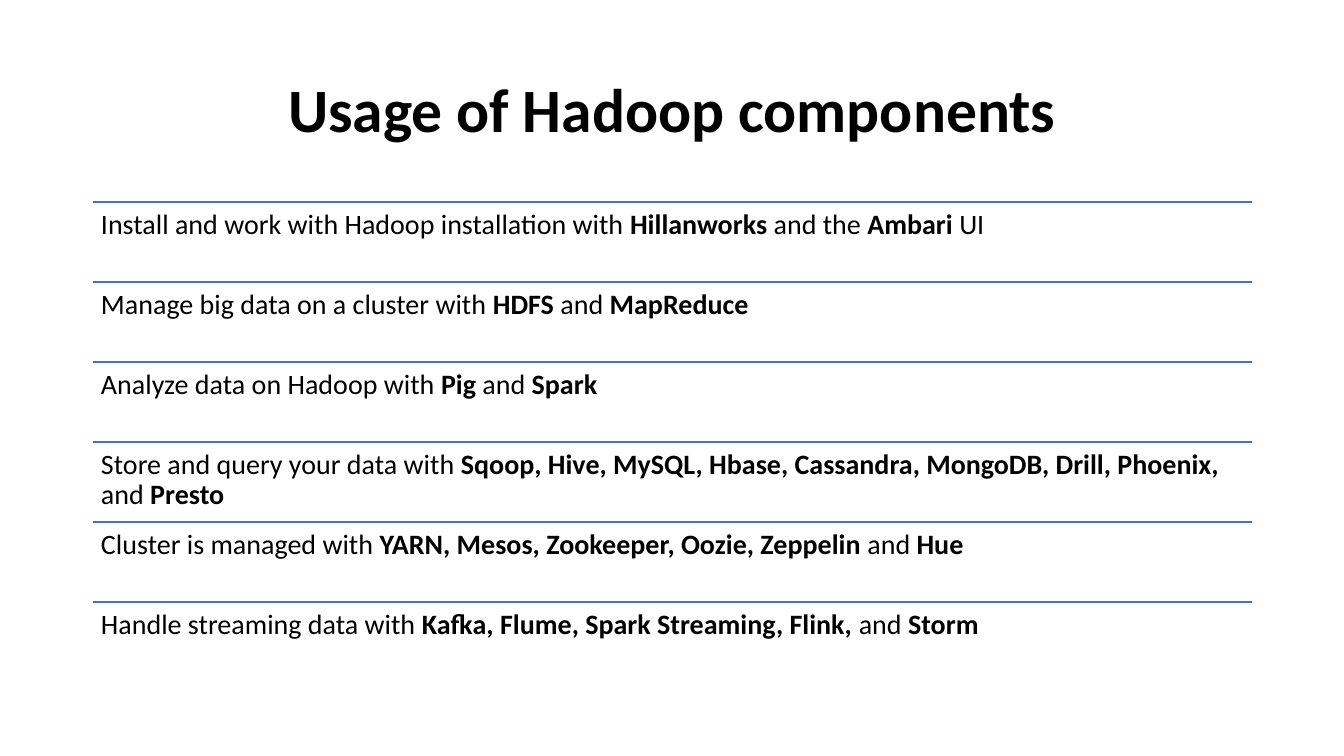
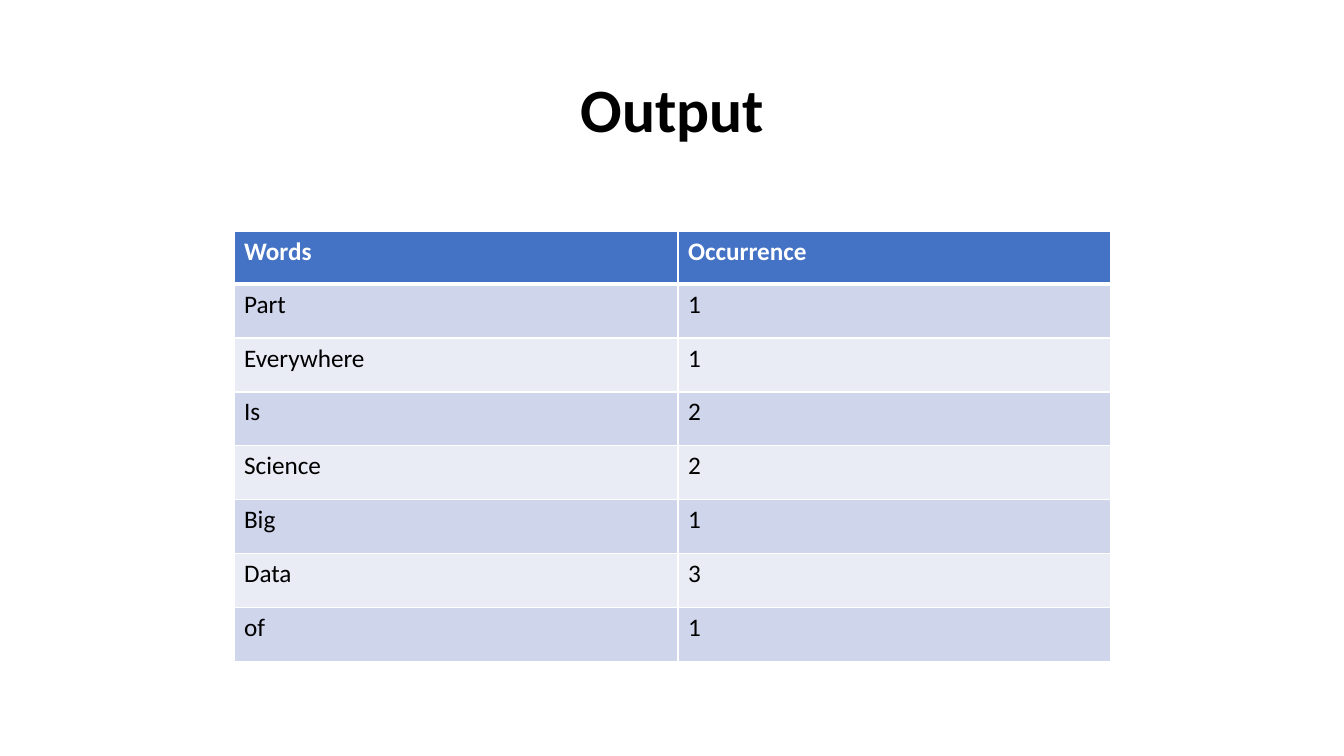
from lxml import etree
from pptx import Presentation
from pptx.dml.color import RGBColor
from pptx.enum.shapes import MSO_CONNECTOR
from pptx.enum.text import MSO_ANCHOR, PP_ALIGN
from pptx.oxml.ns import qn
from pptx.util import Emu, Pt

STRAIGHT = MSO_CONNECTOR.STRAIGHT
TOP, MIDDLE = MSO_ANCHOR.TOP, MSO_ANCHOR.MIDDLE
LEFT, CENTER = PP_ALIGN.LEFT, PP_ALIGN.CENTER

WIDTH, HEIGHT = 1344, 756
SCALE = 12192000 / WIDTH
TITLE_ONLY = 5


def px(n):
    return Emu(round(n * SCALE))


def rgb(value):
    return RGBColor.from_string(value)


class Deck:
    FONT = "Calibri"
    BLACK, WHITE, BLUE = "000000", "FFFFFF", "4472C4"
    BANDS = ("CFD5EA", "E9EBF5")
    MARGIN, CONTENT_W = 93, 1159

    def __init__(self):
        self.prs = Presentation()
        self.prs.slide_width, self.prs.slide_height = px(WIDTH), px(HEIGHT)
        self.s = None

    def slide(self, title):
        self.s = self.prs.slides.add_slide(self.prs.slide_layouts[TITLE_ONLY])
        sp = self.s.shapes.title
        sp.left, sp.top = px(self.MARGIN), px(40)
        sp.width, sp.height = px(self.CONTENT_W), px(146)
        tf = sp.text_frame
        tf.word_wrap, tf.vertical_anchor = True, MIDDLE
        self.add_runs(tf, [(title, True)], 44, align=CENTER, spacing=0.9)

    def add_runs(self, tf, runs, size, color=BLACK, align=LEFT, spacing=None):
        p = tf.paragraphs[0]
        p.alignment, p.line_spacing = align, spacing
        for text, bold in runs:
            r = p.add_run()
            r.text = text
            r.font.name, r.font.size, r.font.bold = self.FONT, Pt(size), bold
            r.font.color.rgb = rgb(color)

    def text(self, x, y, w, h, runs):
        tf = self.s.shapes.add_textbox(px(x), px(y), px(w), px(h)).text_frame
        tf.word_wrap, tf.vertical_anchor = True, TOP
        tf.margin_left = tf.margin_right = px(8)
        tf.margin_top = tf.margin_bottom = px(8)
        self.add_runs(tf, runs, 20, spacing=0.9)

    def rule(self, x, y, w):
        line = self.s.shapes.add_connector(STRAIGHT, px(x), px(y), px(x + w), px(y))
        line.line.color.rgb, line.line.width = rgb(self.BLUE), Pt(1)
        etree.SubElement(line._element.spPr, qn("a:effectLst"))

    def ruled_list(self, y, pitch, items):
        for i, item in enumerate(items):
            top = y + i * pitch
            runs = [(text, j % 2 == 1) for j, text in enumerate(item)]
            self.rule(self.MARGIN, top, self.CONTENT_W)
            self.text(self.MARGIN, top, self.CONTENT_W, pitch, runs)

    def borders(self, cell, widths):
        tc_pr = cell._tc.get_or_add_tcPr()
        for i, (side, width) in enumerate(widths.items()):
            ln = etree.Element(qn(f"a:ln{side}"), w=str(Pt(width)))
            fill = etree.SubElement(ln, qn("a:solidFill"))
            etree.SubElement(fill, qn("a:srgbClr"), val=self.WHITE)
            tc_pr.insert(i, ln)

    def table(self, x, y, col_widths, header_h, row_h, rows):
        heights = [header_h] + [row_h] * (len(rows) - 1)
        table = self.s.shapes.add_table(
            len(rows), len(col_widths), px(x), px(y), px(sum(col_widths)), px(sum(heights))
        ).table
        for column, width in zip(table.columns, col_widths):
            column.width = px(width)
        for i, (row, height) in enumerate(zip(rows, heights)):
            table.rows[i].height = px(height)
            head = i == 0
            for j, value in enumerate(row):
                cell = table.cell(i, j)
                cell.fill.solid()
                cell.fill.fore_color.rgb = rgb(self.BLUE if head else self.BANDS[(i - 1) % 2])
                self.borders(cell, {"L": 1, "R": 1, "T": 3 if i == 1 else 1, "B": 3 if head else 1})
                color = self.WHITE if head else self.BLACK
                self.add_runs(cell.text_frame, [(str(value), head)], 18, color)


def main():
    deck = Deck()

    deck.slide("Usage of Hadoop components")
    deck.ruled_list(202, 80, [
        ("Install and work with Hadoop installation with ", "Hillanworks ", "and the ", "Ambari ", "UI"),
        ("Manage big data on a cluster with ", "HDFS ", "and ", "MapReduce"),
        ("Analyze data on Hadoop with ", "Pig ", "and ", "Spark"),
        ("Store and query your data with ",
         "Sqoop, Hive, MySQL, Hbase, Cassandra, MongoDB, Drill, Phoenix, ", "and ", "Presto"),
        ("Cluster is managed with ", "YARN, Mesos, Zookeeper, Oozie, Zeppelin ", "and ", "Hue"),
        ("Handle streaming data with ", "Kafka, Flume, Spark Streaming, Flink, ", "and ", "Storm"),
    ])

    deck.slide("Output")
    deck.table(234, 231, (444, 433), 53, 54, [
        ("Words", "Occurrence"),
        ("Part", 1),
        ("Everywhere", 1),
        ("Is", 2),
        ("Science", 2),
        ("Big", 1),
        ("Data", 3),
        ("of", 1),
    ])

    deck.prs.save("out.pptx")


if __name__ == "__main__":
    main()
